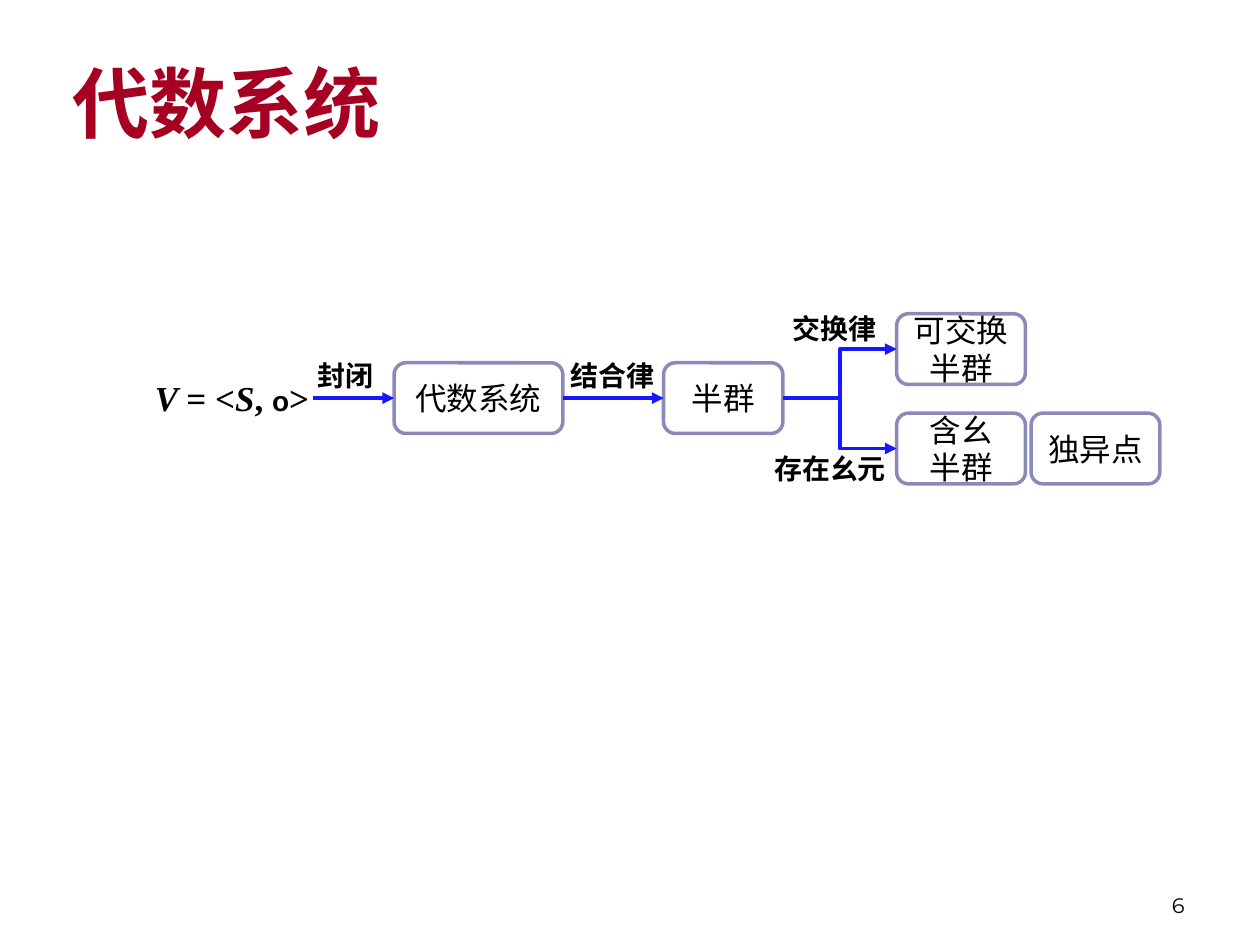
import pptx
import pptx.dml.color
import pptx.enum.shapes
import pptx.enum.text
import pptx.oxml.ns
import pptx.util
from lxml import etree

Pt = pptx.util.Pt
RGB = pptx.dml.color.RGBColor.from_string
ALIGN = pptx.enum.text.PP_ALIGN
ANCHOR = pptx.enum.text.MSO_ANCHOR
CONNECTOR = pptx.enum.shapes.MSO_CONNECTOR

theme = {
    "title": RGB("A50021"), "text": RGB("000000"), "arrow": RGB("1818FF"),
    "box_line": RGB("8A8AB9"), "box_fill": RGB("FFFFFF"),
    "sans": "Arial", "serif": "Times New Roman", "number": "Montserrat",
    "title_size": Pt(44), "formula_size": Pt(20), "box_size": Pt(18),
    "label_size": Pt(16), "number_size": Pt(12),
}


def style(r, font, size, color=theme["text"], bold=False, italic=False):
    r.font.name, r.font.size = font, size
    r.font.bold, r.font.italic = bold, italic
    r.font.color.rgb = color


def add_text(left, top, width, height):
    sp = s.shapes.add_textbox(Pt(left), Pt(top), Pt(width), Pt(height))
    sp.text_frame.word_wrap = True
    return sp.text_frame


prs = pptx.Presentation()
prs.slide_width, prs.slide_height = Pt(720), Pt(540)
s = prs.slides.add_slide(prs.slide_layouts[5])

# Title
title = s.shapes.title
title.left, title.top, title.width, title.height = Pt(34), Pt(15), Pt(630), Pt(86.4)
tf = title.text_frame
tf.text = "代数系统"
tf.vertical_anchor = ANCHOR.MIDDLE
tf.paragraphs[0].alignment = ALIGN.LEFT
style(tf.paragraphs[0].runs[0], theme["sans"], theme["title_size"], theme["title"], bold=True)

# Boxes: left, centre height, width, text
box_height = 40.4
middle, upper, lower = 227.5, 199.5, 256.3
boxes = {}
for name, left, center, width, text in [
    ("system", 225.2, middle, 96.4, "代数系统"),
    ("semigroup", 379.2, middle, 68.2, "半群"),
    ("commutative", 512.4, upper, 73.6, "可交换半群"),
    ("identity", 512.4, lower, 73.6, "含幺\n半群"),
    ("monoid", 589.2, lower, 73.6, "独异点"),
]:
    sp = s.shapes.add_shape(pptx.enum.shapes.MSO_SHAPE.ROUNDED_RECTANGLE, Pt(left),
                            Pt(center - box_height / 2), Pt(width), Pt(box_height))
    sp.shadow.inherit = False
    sp.fill.solid()
    sp.fill.fore_color.rgb = theme["box_fill"]
    sp.line.color.rgb = theme["box_line"]
    sp.line.width = Pt(2)
    tf = sp.text_frame
    tf.word_wrap = True
    tf.vertical_anchor = ANCHOR.MIDDLE
    tf.text = text
    for p in tf.paragraphs:
        p.alignment = ALIGN.CENTER
        style(p.runs[0], theme["sans"], theme["box_size"])
    boxes[name] = sp

# Formula
p = add_text(81.4, 211.7, 128, 31.5).paragraphs[0]
for text, font, size, italic in [
    ("V ", "serif", "formula_size", True),
    ("= <", "serif", "formula_size", False),
    ("S", "serif", "formula_size", True),
    (", ", "serif", "formula_size", False),
    ("ο", "sans", "label_size", False),
    (">", "serif", "formula_size", False),
]:
    r = p.add_run()
    r.text = text
    style(r, theme[font], theme[size], bold=True, italic=italic)

# Arrows, from the right side of one box to the left side of the next
for start, end, kind in [
    (None, "system", CONNECTOR.STRAIGHT),
    ("system", "semigroup", CONNECTOR.STRAIGHT),
    ("semigroup", "commutative", CONNECTOR.ELBOW),
    ("semigroup", "identity", CONNECTOR.ELBOW),
]:
    cxn = s.shapes.add_connector(kind, Pt(178.6), Pt(middle), Pt(225.2), Pt(middle))
    if start:
        cxn.begin_connect(boxes[start], 3)
    cxn.end_connect(boxes[end], 1)
    cxn.line.color.rgb = theme["arrow"]
    cxn.line.width = Pt(2.25)
    ln = cxn.line._get_or_add_ln()
    etree.SubElement(ln, pptx.oxml.ns.qn("a:tailEnd"), type="triangle")
    etree.SubElement(ln.getparent(), pptx.oxml.ns.qn("a:effectLst"))

# Arrow labels
for left, top, width, text in [
    (174.2, 201.4, 57.6, "封闭"),
    (319.2, 201.2, 67.7, "结合律"),
    (445.9, 174.4, 68.4, "交换律"),
    (435.4, 254.3, 80, "存在幺元"),
]:
    tf = add_text(left, top, width, 26.6)
    tf.text = text
    style(tf.paragraphs[0].runs[0], theme["serif"], theme["label_size"], bold=True)

# Slide number
tf = add_text(516, 492, 168, 36)
tf.text = "6"
tf.vertical_anchor = ANCHOR.BOTTOM
tf.paragraphs[0].alignment = ALIGN.RIGHT
style(tf.paragraphs[0].runs[0], theme["number"], theme["number_size"])

prs.save("out.pptx")
